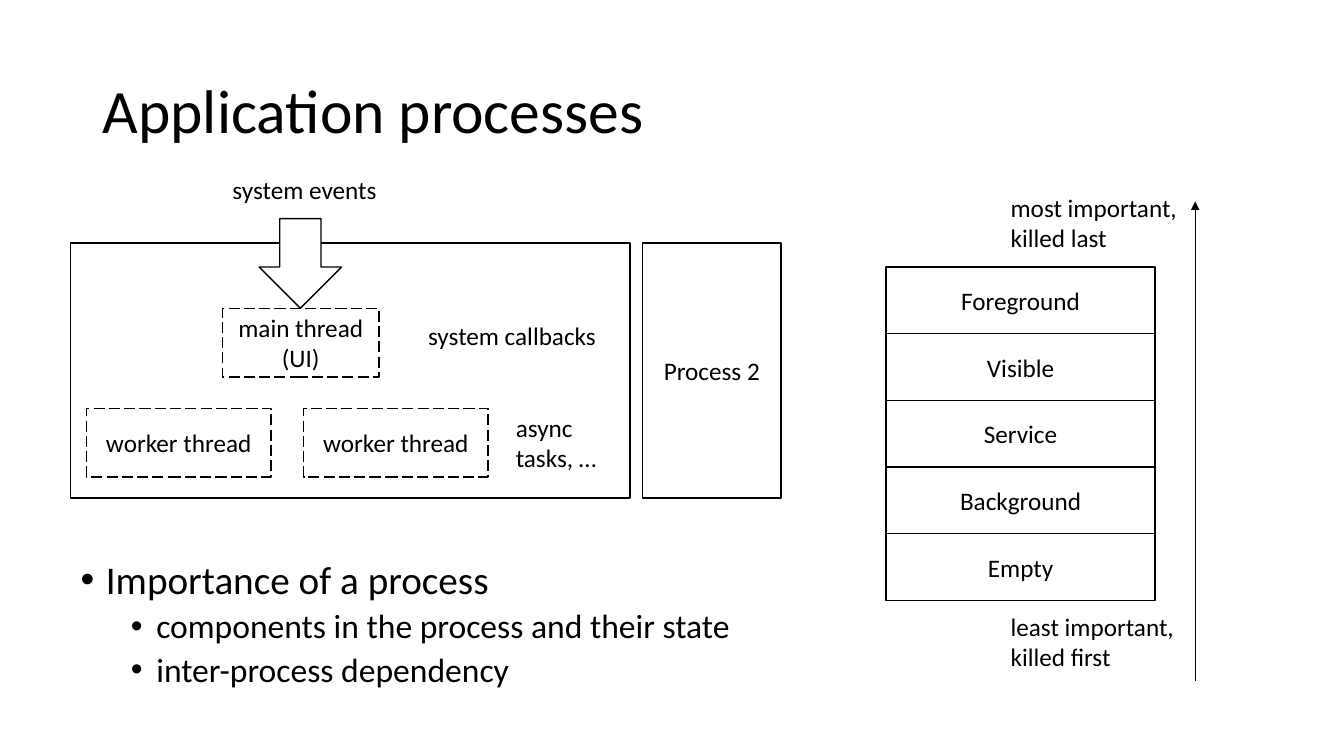
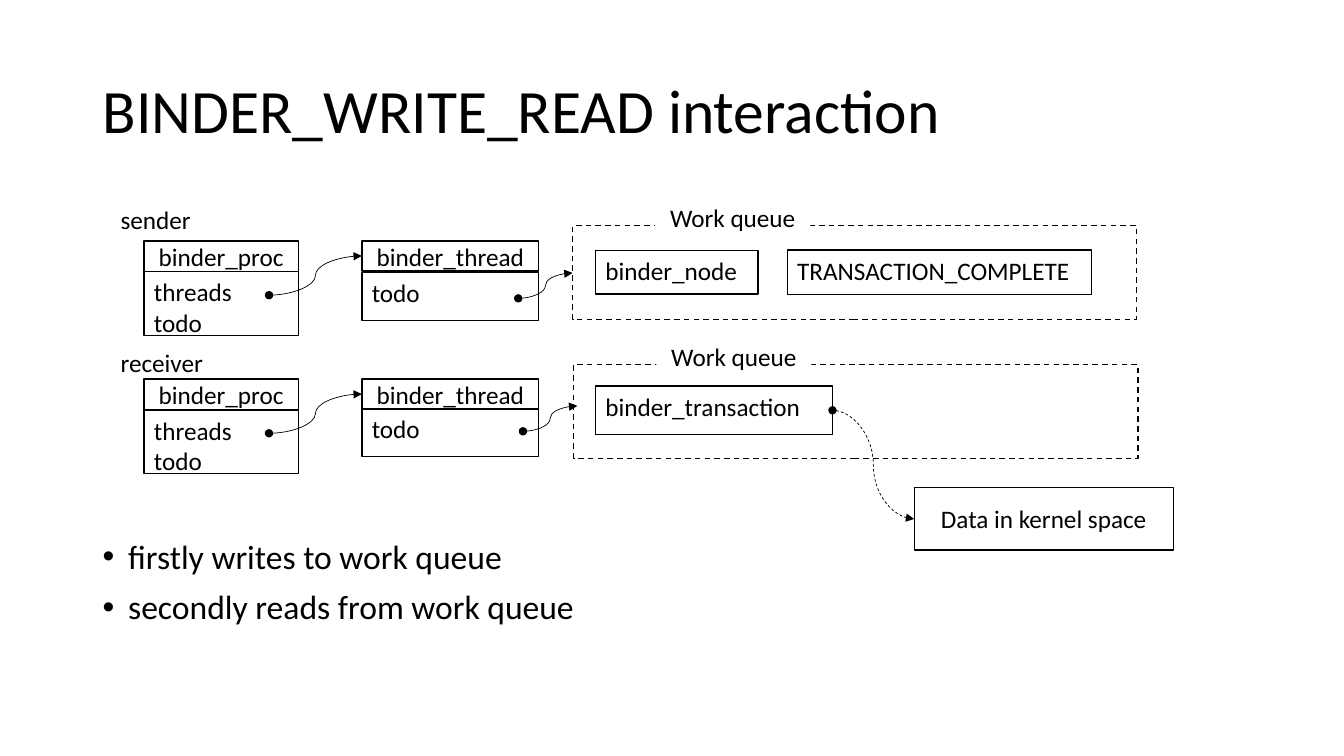
from lxml import etree
from pptx import Presentation
from pptx.dml.color import RGBColor
from pptx.enum.dml import MSO_LINE
from pptx.enum.shapes import MSO_CONNECTOR, MSO_SHAPE
from pptx.enum.text import MSO_ANCHOR, PP_ALIGN
from pptx.oxml.ns import qn
from pptx.util import Cm, Pt

RECT, DOWN_ARROW = MSO_SHAPE.RECTANGLE, MSO_SHAPE.DOWN_ARROW
STRAIGHT, CURVE = MSO_CONNECTOR.STRAIGHT, MSO_CONNECTOR.CURVE
DASH, LONG_DASH = MSO_LINE.DASH, MSO_LINE.LONG_DASH
TOP, MIDDLE = MSO_ANCHOR.TOP, MSO_ANCHOR.MIDDLE
LEFT, CENTER = PP_ALIGN.LEFT, PP_ALIGN.CENTER

FONT, INK, PAPER = "Calibri", "000000", "FFFFFF"
TITLE_AT = (2.34, 1.02, 29.21, 3.68)

# Content: all positions are left, top, width, height in cm
PROCESS_TITLE = "Application processes"
PROCESSES = [("", (1.78, 6.12, 14.1, 6.43)), ("Process 2", (16.2, 6.12, 3.48, 6.43))]
THREADS = [
    ("main thread (UI)", (5.61, 7.77, 3.94, 1.73)),
    ("worker thread", (2.18, 10.29, 4.65, 1.73)),
    ("worker thread", (7.65, 10.29, 4.65, 1.73)),
]
CAPTIONS = [
    ("system events", (5.61, 4.09, 4.8, 1.37)),
    ("system callbacks", (10.54, 7.77, 4.8, 1.37)),
    ("async tasks, …", (12.75, 10.46, 2.95, 1.37)),
    ("most important, killed last", (25.22, 4.93, 4.8, 1.37)),
    ("least important, killed first", (25.22, 15.47, 4.8, 1.37)),
]
EVENT_ARROW_AT = (6.53, 5.51, 2.08, 2.26)
IMPORTANCE = ["Foreground", "Visible", "Service", "Background", "Empty"]
IMPORTANCE_AT = (22.33, 6.73, 6.78, 1.68)
IMPORTANCE_AXIS = ((30.12, 17.17), (30.12, 5.08))
# Bullets: text, size, left indent in cm, space before
PROCESS_BULLETS = [
    ("Importance of a process", 28, 0.64, 10),
    ("components in the process and their state", 24, 1.91, 5),
    ("inter-process dependency", 24, 1.91, 5),
]

BINDER_TITLE = "BINDER_WRITE_READ interaction"
SIDES = [
    dict(name="sender", name_top=5.26, top=6.07, todo_top=6.86,
         queue=(14.43, 5.69), todo_link=(13.06, 7.52),
         work=[("binder_node", (15.01, 6.32, 4.09, 1.09)),
               ("TRANSACTION_COMPLETE", (19.84, 6.3, 7.67, 1.12))]),
    dict(name="receiver", name_top=8.86, top=9.55, todo_top=10.29,
         queue=(14.46, 9.19), todo_link=(13.18, 10.87),
         work=[("binder_transaction", (15.01, 9.73, 5.97, 1.22))]),
]
KERNEL_DATA = ("Data in kernel space", (23.04, 12.29, 6.53, 1.57))
KERNEL_LINK = ((20.98, 10.34), (23.04, 13.08))
BINDER_BULLETS = [
    ("firstly writes to work queue", 24, 0.64, 10),
    ("secondly reads from work queue", 24, 0.64, 10),
]


def rgb(color):
    return RGBColor.from_string(color)


def add_run(paragraph, text, size):
    run = paragraph.add_run()
    run.text = text
    run.font.name, run.font.size = FONT, Pt(size)
    run.font.color.rgb = rgb(INK)


def box(slide, text, at, line=INK, fill=PAPER, dash=None, align=CENTER,
        anchor=MIDDLE, kind=RECT):
    """Preset shape with 18 pt text, one paragraph per line of text."""
    shape = slide.shapes.add_shape(kind, *map(Cm, at))
    shape.shadow.inherit = False
    if fill:
        shape.fill.solid()
        shape.fill.fore_color.rgb = rgb(fill)
    else:
        shape.fill.background()
    if line:
        shape.line.color.rgb = rgb(line)
        shape.line.width = Pt(1)
        if dash:
            shape.line.dash_style = dash
    else:
        shape.line.fill.background()
    frame = shape.text_frame
    frame.word_wrap = True
    frame.vertical_anchor = anchor
    for i, words in enumerate(text.split("\n") if text else []):
        paragraph = frame.add_paragraph() if i else frame.paragraphs[0]
        paragraph.alignment = align
        add_run(paragraph, words, 18)


def field(slide, text, at):
    """Unfilled box with text from its top left corner."""
    box(slide, text, at, fill=None, align=LEFT, anchor=TOP)


def arrow(slide, start, end, kind=CURVE, head="oval", dash=None):
    link = slide.shapes.add_connector(kind, *map(Cm, start + end))
    link.line.color.rgb = rgb(INK)
    link.line.width = Pt(0.5)
    if dash:
        link.line.dash_style = dash
    outline = link.line._get_or_add_ln()
    if head:
        etree.SubElement(outline, qn("a:headEnd"), type=head)
    etree.SubElement(outline, qn("a:tailEnd"), type="triangle")
    etree.SubElement(outline.getparent(), qn("a:effectLst"))


def text_frame(slide, at, anchor):
    frame = slide.shapes.add_textbox(*map(Cm, at)).text_frame
    frame.word_wrap = True
    frame.vertical_anchor = anchor
    return frame


def titled_slide(prs, title):
    slide = prs.slides.add_slide(prs.slide_layouts[6])
    paragraph = text_frame(slide, TITLE_AT, MIDDLE).paragraphs[0]
    paragraph.line_spacing = 0.9
    add_run(paragraph, title, 44)
    return slide


def bullets(slide, items, at):
    frame = text_frame(slide, at, TOP)
    for i, (text, size, indent, before) in enumerate(items):
        paragraph = frame.add_paragraph() if i else frame.paragraphs[0]
        paragraph.line_spacing = 0.9
        paragraph.space_before = Pt(before)
        props = paragraph._p.get_or_add_pPr()
        props.set("marL", str(Cm(indent)))
        props.set("indent", str(Cm(-0.64)))
        etree.SubElement(props, qn("a:buFont"), typeface="Arial")
        etree.SubElement(props, qn("a:buChar"), char="•")
        add_run(paragraph, text, size)


def process_slide(prs):
    slide = titled_slide(prs, PROCESS_TITLE)
    # Processes, their threads and captions
    for text, at in PROCESSES:
        box(slide, text, at)
    for text, at in THREADS:
        box(slide, text, at, dash=LONG_DASH)
    for text, at in CAPTIONS:
        box(slide, text, at, line=None, align=LEFT)
    box(slide, "", EVENT_ARROW_AT, kind=DOWN_ARROW)
    # Importance stack
    left, top, width, height = IMPORTANCE_AT
    for i, level in enumerate(IMPORTANCE):
        box(slide, level, (left, top + i * height, width, height))
    arrow(slide, *IMPORTANCE_AXIS, kind=STRAIGHT, head=None)
    bullets(slide, PROCESS_BULLETS, (1.78, 14, 17.91, 3.76))


def binder_slide(prs):
    slide = titled_slide(prs, BINDER_TITLE)
    for side in SIDES:
        top = side["top"]
        # Work queue
        queue_left, queue_top = side["queue"]
        box(slide, "", (queue_left, queue_top, 14.22, 2.36), dash=DASH)
        box(slide, "Work queue", (queue_left + 2.08, queue_top - 0.7, 3.91, 0.99), line=None)
        for text, at in side["work"]:
            field(slide, text, at)
        # Process and thread records
        box(slide, side["name"], (2.79, side["name_top"], 3.4, 0.53),
            line=PAPER, fill=None, align=LEFT)
        box(slide, "binder_proc", (3.63, top, 3.89, 0.78), fill=None)
        field(slide, "threads\ntodo", (3.63, top + 0.78, 3.89, 1.6))
        box(slide, "binder_thread", (9.12, top, 4.46, 0.76), fill=None)
        field(slide, "todo", (9.12, side["todo_top"], 4.46, 1.22))
        # Links from fields to what they point at
        arrow(slide, (6.78, top + 1.37), (9.12, top + 0.38))
        x, y = side["todo_link"]
        arrow(slide, (x, y), (x + 1.37, y - 0.64))
    box(slide, *KERNEL_DATA)
    arrow(slide, *KERNEL_LINK, dash=DASH)
    bullets(slide, BINDER_BULLETS, (2.34, 13.49, 14.1, 4.09))


def main():
    prs = Presentation()
    prs.slide_width, prs.slide_height = Cm(33.87), Cm(19.05)
    process_slide(prs)
    binder_slide(prs)
    prs.save("out.pptx")


if __name__ == "__main__":
    main()
